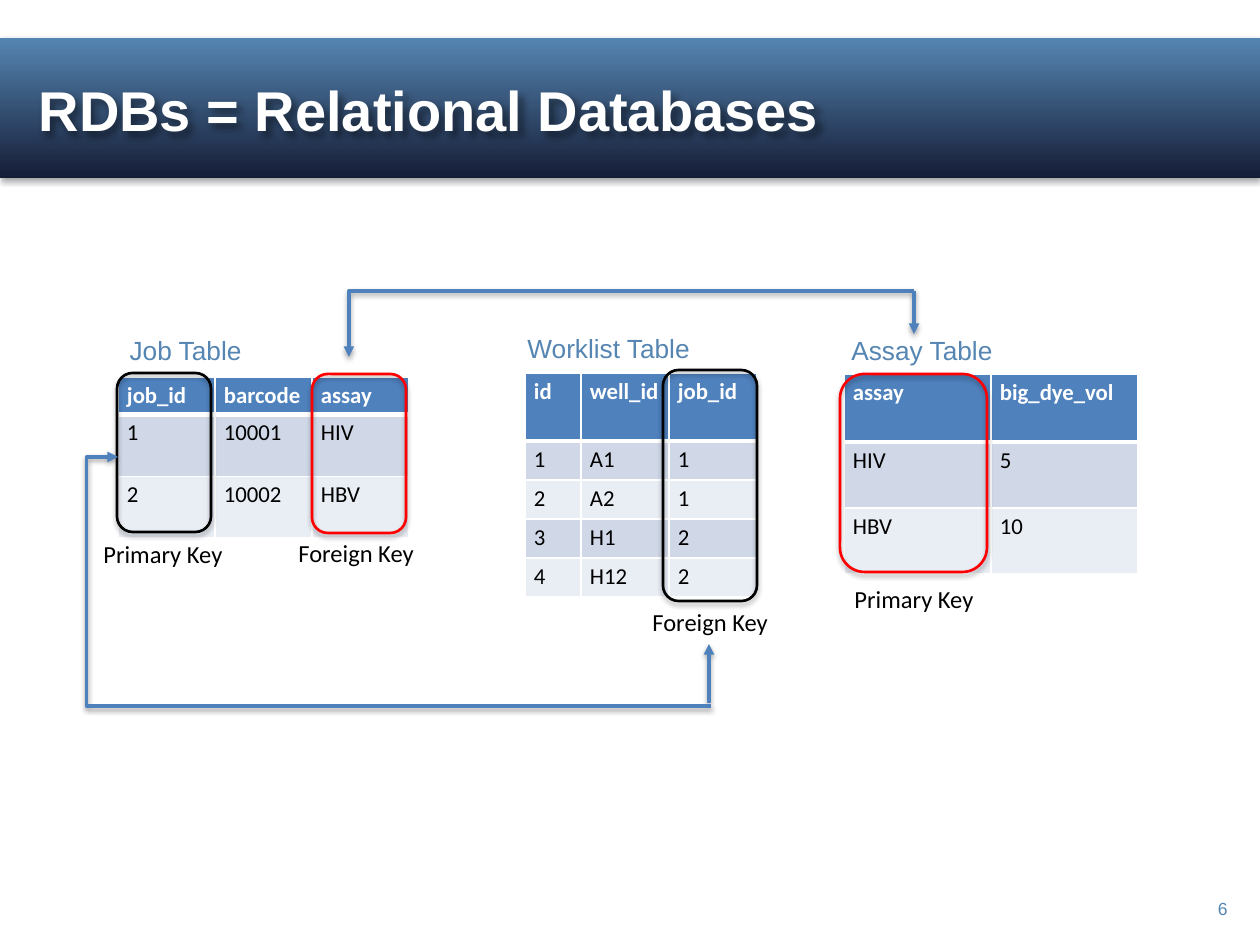
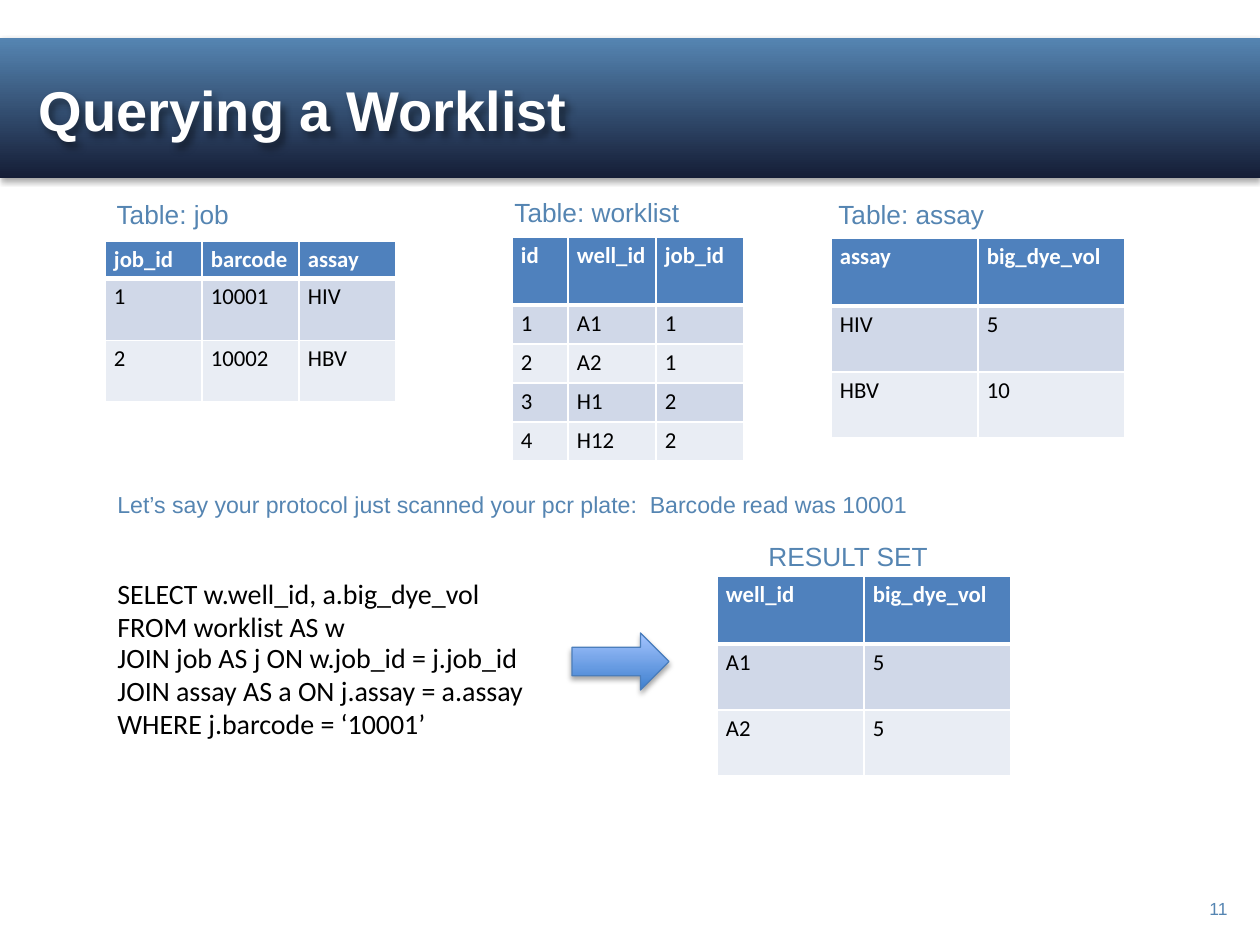
from dataclasses import dataclass

from lxml import etree
from pptx import Presentation
from pptx import util as u
from pptx.dml.color import RGBColor
from pptx.enum import shapes, text
from pptx.oxml.ns import qn

SCALE = 914400 / 126  # EMU per px

HUES = {
    "steel": "5585B2", "navy": "151D36", "blue": "4F81BD", "edge": "4B7EBC",
    "low": "3F80CE", "high": "A4C4FF", "odd": "D0D8E8", "even": "E9EDF4",
    "white": "FFFFFF", "black": "000000", "red": "FF0000",
}

# Text formats: font values and colour name
FORMATS = {
    "title": ({"name": "Arial", "size": u.Pt(32), "bold": True}, "white"),
    "label": ({"name": "Arial", "size": u.Pt(15), "bold": False}, "steel"),
    "note": ({"name": "Arial", "size": u.Pt(13.2), "bold": False}, "steel"),
    "page": ({"name": "Arial", "size": u.Pt(10), "bold": False}, "steel"),
    "head": ({"name": "Calibri", "size": u.Pt(13), "bold": True}, "white"),
    "cell": ({"name": "Calibri", "size": u.Pt(13), "bold": False}, "black"),
    "key": ({"name": "Calibri", "size": u.Pt(14), "bold": False}, "black"),
    "code": ({"name": "Calibri", "size": u.Pt(16), "bold": False}, "black"),
}
INSETS = {"margin_left": 9, "margin_right": 9, "margin_top": 5, "margin_bottom": 5}


@dataclass
class Box:
    x: int
    y: int
    w: int
    h: int

    def emu(self) -> list:
        return [px(v) for v in (self.x, self.y, self.w, self.h)]


@dataclass
class Grid:
    x: int
    y: int
    cols: list
    rows: list
    data: list


@dataclass
class Frame:
    box: Box
    hue: str


@dataclass
class Note:
    box: Box
    lines: list
    kind: str
    wrap: bool = True


@dataclass
class Link:
    start: tuple
    end: tuple
    bend: int = 0  # thousandths of a percent; 0 means straight


# Tables and their labels, shared by both slides
LABELS = [Box(117, 333, 272, 39), Box(515, 331, 272, 39), Box(839, 333, 272, 39)]
PAIR, TALL = [147, 147], [68, 66, 66]
GRIDS = [
    Grid(118, 377, [97] * 3, [37, 62, 62],
         [["job_id", "barcode", "assay"], ["1", "10001", "HIV"], ["2", "10002", "HBV"]]),
    Grid(525, 373, [56, 88, 88], [68] + [39] * 4,
         [["id", "well_id", "job_id"], ["1", "A1", "1"], ["2", "A2", "1"],
          ["3", "H1", "2"], ["4", "H12", "2"]]),
    Grid(844, 374, PAIR, TALL,
         [["assay", "big_dye_vol"], ["HIV", "5"], ["HBV", "10"]]),
]
RESULT = Grid(717, 576, PAIR, TALL,
              [["well_id", "big_dye_vol"], ["A1", "5"], ["A2", "5"]])

# Keys and relations
FRAMES = [
    Frame(Box(117, 373, 94, 159), "black"), Frame(Box(663, 370, 94, 231), "black"),
    Frame(Box(312, 374, 94, 159), "red"), Frame(Box(840, 374, 147, 198), "red"),
]
KEYS = [
    Note(Box(91, 533, 146, 43), ["Primary Key"], "key", False),
    Note(Box(640, 601, 142, 43), ["Foreign Key"], "key", False),
    Note(Box(842, 578, 146, 43), ["Primary Key"], "key", False),
    Note(Box(286, 532, 142, 43), ["Foreign Key"], "key", False),
]
LINKS = [
    Link((709, 703), (709, 644)),
    Link((711, 706), (118, 457), 105300),
    Link((914, 291), (349, 357), 100000),
    Link((914, 291), (914, 334)),
]

# Query and its result
QUERY = [
    Note(Box(105, 485, 833, 39),
         ["Let’s say your protocol just scanned your pcr plate:  Barcode read was 10001"],
         "note"),
    Note(Box(105, 570, 478, 81),
         ["SELECT w.well_id, a.big_dye_vol", "FROM worklist AS w"], "code"),
    Note(Box(105, 634, 437, 84), ["JOIN job AS j ON w.job_id = j.job_id"], "code"),
    Note(Box(105, 667, 436, 118),
         ["JOIN assay AS a ON j.assay = a.assay", "WHERE j.barcode = ‘10001’"],
         "code", False),
    Note(Box(756, 539, 195, 39), ["RESULT SET"], "label"),
]


def px(val: int) -> int:
    return round(val * SCALE)


def hue(name: str) -> RGBColor:
    return RGBColor.from_string(HUES[name])


def sub(node, tag: str, **vals):
    return etree.SubElement(node, qn(tag), {k: str(v) for k, v in vals.items()})


def shade(shape, alpha=35, dist=1.8, blur=3.1, turn=90) -> None:
    """Add an outer shadow; call after fill and line are set."""
    list_ = sub(shape._element.spPr, "a:effectLst")
    cast = sub(list_, "a:outerShdw", blurRad=u.Pt(blur), dist=u.Pt(dist),
               dir=turn * 60000, rotWithShape=0)
    tint = sub(cast, "a:srgbClr", val=HUES["black"])
    sub(tint, "a:alpha", val=alpha * 1000)


def blend(shape, first: str, last: str, angle: int) -> None:
    shape.fill.gradient()
    shape.fill.gradient_angle = angle
    for stop, name in zip(shape.fill.gradient_stops, (first, last)):
        stop.color.rgb = hue(name)


def write(frame, lines: list, kind: str, align=text.PP_ALIGN.LEFT) -> None:
    vals, ink = FORMATS[kind]
    for i, line in enumerate(lines):
        para = frame.paragraphs[0] if i == 0 else frame.add_paragraph()
        para.alignment, para.space_before = align, u.Pt(0)
        run = para.add_run()
        run.text = line
        for name, val in vals.items():
            setattr(run.font, name, val)
        run.font.color.rgb = hue(ink)


def place(holder, box: Box, words: str, kind: str, anchor) -> None:
    holder.left, holder.top, holder.width, holder.height = box.emu()
    frame = holder.text_frame
    frame.auto_size, frame.vertical_anchor = text.MSO_AUTO_SIZE.NONE, anchor
    props = frame.paragraphs[0]._p.get_or_add_pPr()
    props.set("marL", "0")
    props.set("indent", "0")
    sub(props, "a:buNone")
    write(frame, [words], kind)


def jot(slide, note: Note, align=text.PP_ALIGN.LEFT) -> None:
    frame = slide.shapes.add_textbox(*note.box.emu()).text_frame
    frame.word_wrap = note.wrap
    if note.kind in ("label", "note"):
        frame.vertical_anchor = text.MSO_ANCHOR.BOTTOM
    write(frame, note.lines, note.kind, align)


def table(slide, grid: Grid, dx=0, dy=0) -> None:
    box = Box(grid.x + dx, grid.y + dy, sum(grid.cols), sum(grid.rows))
    tab = slide.shapes.add_table(len(grid.rows), len(grid.cols), *box.emu()).table
    tab.first_row = tab.horz_banding = False
    for col, w in zip(tab.columns, grid.cols):
        col.width = px(w)
    for r, (row, h) in enumerate(zip(tab.rows, grid.rows)):
        row.height = px(h)
        for cell, word in zip(row.cells, grid.data[r]):
            for name, val in INSETS.items():
                setattr(cell, name, px(val))
            write(cell.text_frame, [word], "cell" if r else "head")
            props = cell._tc.get_or_add_tcPr()
            for side in "LRTB":
                thick = (r, side) in ((0, "B"), (1, "T"))
                line = sub(props, f"a:ln{side}", w=u.Pt(3 if thick else 1))
                sub(sub(line, "a:solidFill"), "a:srgbClr", val=HUES["white"])
            cell.fill.solid()
            cell.fill.fore_color.rgb = hue(("even", "odd")[r % 2] if r else "blue")


def outline(slide, item: Frame) -> None:
    shape = slide.shapes.add_shape(shapes.MSO_SHAPE.ROUNDED_RECTANGLE, *item.box.emu())
    shape.fill.background()
    shape.line.color.rgb, shape.line.width = hue(item.hue), u.Pt(1.5)
    shade(shape)


def join(slide, link: Link) -> None:
    kind = shapes.MSO_CONNECTOR.ELBOW if link.bend else shapes.MSO_CONNECTOR.STRAIGHT
    ends = [px(v) for v in link.start + link.end]
    wire = slide.shapes.add_connector(kind, *ends)
    wire.line.color.rgb, wire.line.width = hue("blue"), u.Pt(2)
    sub(wire.line._get_or_add_ln(), "a:tailEnd", type="triangle")
    if link.bend:
        guides = wire._element.spPr.find(qn("a:prstGeom")).find(qn("a:avLst"))
        sub(guides, "a:gd", name="adj1", fmla=f"val {link.bend}")
    shade(wire, 38, 1.6)


def start(deck, title: str, page: str, names: list, dx=0, dy=0):
    """Make a slide with band, title, page number and the three tables."""
    slide = deck.slides.add_slide(deck.slide_layouts[1])
    band = slide.shapes.add_shape(shapes.MSO_SHAPE.RECTANGLE, *Box(0, 38, 1260, 140).emu())
    blend(band, "steel", "navy", 270)
    band.line.fill.background()
    shade(band)
    slide.shapes._spTree.insert(2, band._element)
    head = slide.shapes.title
    place(head, Box(26, 39, 1144, 141), title, "title", text.MSO_ANCHOR.MIDDLE)
    head.fill.background()
    shade(head, 43, 3, 4, 45)
    jot(slide, Note(Box(1124, 892, 116, 34), [page], "page"), text.PP_ALIGN.RIGHT)

    spots = [Box(b.x + dx, b.y + dy, b.w, b.h) for b in LABELS]
    place(slide.placeholders[1], spots[0], names[0], "label", text.MSO_ANCHOR.BOTTOM)
    for spot, name in zip(spots[1:], names[1:]):
        jot(slide, Note(spot, [name], "label"))
    for grid in GRIDS:
        table(slide, grid, dx, dy)
    return slide


def main() -> None:
    deck = Presentation()
    deck.slide_width, deck.slide_height = px(1260), px(945)

    # Slide: keys that relate the tables
    slide = start(deck, "RDBs = Relational Databases", "6",
                  ["Job Table", "Worklist Table", "Assay Table"])
    for item in FRAMES:
        outline(slide, item)
    for note in KEYS:
        jot(slide, note)
    for link in LINKS:
        join(slide, link)

    # Slide: query and result set
    slide = start(deck, "Querying a Worklist", "11",
                  ["Table: job", "Table: worklist", "Table: assay"], -13, -136)
    for note in QUERY:
        jot(slide, note)
    table(slide, RESULT)
    arrow = slide.shapes.add_shape(shapes.MSO_SHAPE.RIGHT_ARROW, *Box(572, 633, 97, 57).emu())
    blend(arrow, "low", "high", 90)
    arrow.line.color.rgb, arrow.line.width = hue("edge"), u.Pt(0.75)
    shade(arrow)

    deck.save("out.pptx")


if __name__ == "__main__":
    main()
